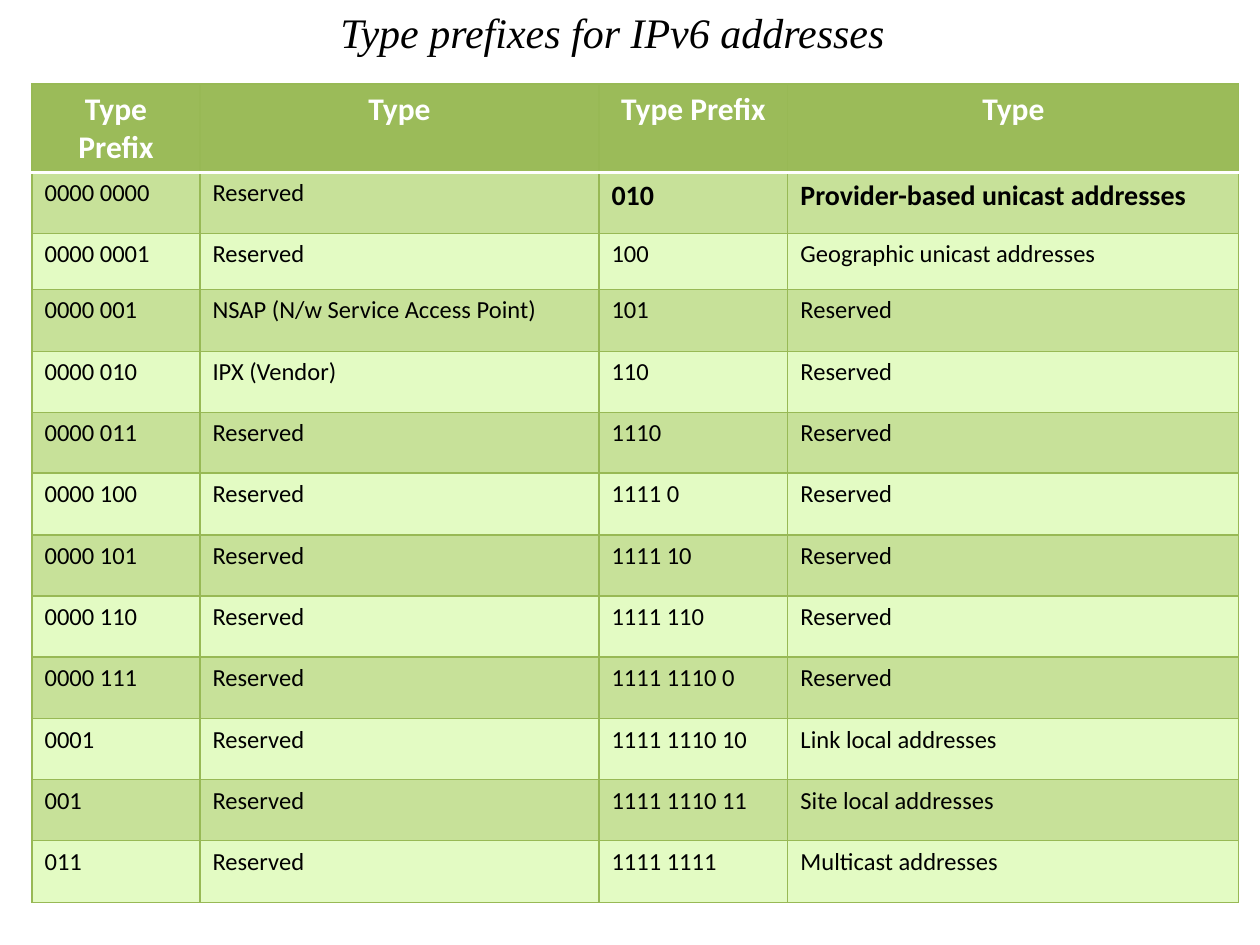
from dataclasses import dataclass

from pptx import Presentation
from pptx import util as u
from pptx.dml.color import RGBColor
from pptx.enum import text
from pptx.oxml import parse_xml
from pptx.oxml.ns import nsdecls

PX = 914400 // 126


@dataclass(frozen=True)
class Theme:
    title_font: str = "Times New Roman"
    body_font: str = "Calibri"
    ink: str = "000000"
    white: str = "FFFFFF"
    header: str = "9BBB59"
    dark_band: str = "C7E199"
    light_band: str = "E3FBC3"
    border: str = "98B955"
    title_pt: int = 24
    header_pt: int = 18
    strong_pt: int = 16
    body_pt: int = 14
    border_pt: float = 0.75
    rule_pt: float = 2


class Deck:
    def __init__(self, theme):
        self.t = theme
        self.prs = Presentation()
        self.prs.slide_width, self.prs.slide_height = u.Inches(10), u.Inches(7.5)
        self.s = self.prs.slides.add_slide(self.prs.slide_layouts[6])

    def font(self, p, name, pt, color, bold=False, italic=False):
        f = p.font
        f.name, f.size, f.bold, f.italic = name, u.Pt(pt), bold, italic
        f.color.rgb = RGBColor.from_string(color)

    def title(self, x, y, w, h, words):
        tf = self.s.shapes.add_textbox(x * PX, y * PX, w * PX, h * PX).text_frame
        tf.word_wrap = False
        tf.auto_size = text.MSO_AUTO_SIZE.SHAPE_TO_FIT_TEXT
        p = tf.paragraphs[0]
        p.text = words
        p.alignment = text.PP_ALIGN.CENTER
        self.font(p, self.t.title_font, self.t.title_pt, self.t.ink, italic=True)

    def borders(self, cell, **white_sides):
        """Outline a cell; sides passed as True get the thick white rule."""
        tc_pr = cell._tc.get_or_add_tcPr()
        for i, side in enumerate("LRTB"):
            thick = white_sides.get(side, False)
            color = self.t.white if thick else self.t.border
            width = u.Pt(self.t.rule_pt if thick else self.t.border_pt)
            tc_pr.insert(i, parse_xml(
                f'<a:ln{side} {nsdecls("a")} w="{width}"><a:solidFill>'
                f'<a:srgbClr val="{color}"/></a:solidFill></a:ln{side}>'))

    def cell(self, cell, words, row, strong):
        t = self.t
        head = row == 0
        fill = t.header if head else t.dark_band if row % 2 else t.light_band
        cell.fill.solid()
        cell.fill.fore_color.rgb = RGBColor.from_string(fill)
        self.borders(cell, B=head, T=row == 1)
        p = cell.text_frame.paragraphs[0]
        p.text = words
        if head:
            p.alignment = text.PP_ALIGN.CENTER
        pt = t.header_pt if head else t.strong_pt if strong else t.body_pt
        self.font(p, t.body_font, pt, t.white if head else t.ink, bold=head or strong)

    def table(self, x, y, cols, heights, rows, strong):
        tbl = self.s.shapes.add_table(len(rows), len(cols), x * PX, y * PX,
                                      sum(cols) * PX, sum(heights) * PX).table
        for col, w in zip(tbl.columns, cols):
            col.width = w * PX
        for i, (row, h) in enumerate(zip(rows, heights)):
            tbl.rows[i].height = h * PX
            for j, words in enumerate(row):
                self.cell(tbl.cell(i, j), words, i, words in strong)


ROWS = [
    ("Type Prefix", "Type", "Type Prefix", "Type"),
    ("0000 0000", "Reserved", "010", "Provider-based unicast addresses"),
    ("0000 0001", "Reserved", "100", "Geographic unicast addresses"),
    ("0000 001", "NSAP (N/w Service Access Point)", "101", "Reserved"),
    ("0000 010", "IPX (Vendor)", "110", "Reserved"),
    ("0000 011", "Reserved", "1110", "Reserved"),
    ("0000 100", "Reserved", "1111 0", "Reserved"),
    ("0000 101", "Reserved", "1111 10", "Reserved"),
    ("0000 110", "Reserved", "1111 110", "Reserved"),
    ("0000 111", "Reserved", "1111 1110 0", "Reserved"),
    ("0001", "Reserved", "1111 1110 10", "Link local addresses"),
    ("001", "Reserved", "1111 1110 11", "Site local addresses"),
    ("011", "Reserved", "1111 1111", "Multicast addresses"),
]


def main():
    deck = Deck(Theme())

    # Heading
    deck.title(325, 0, 575, 63, "Type prefixes for IPv6 addresses")

    # Prefix table: tall header, one shorter row, the rest about 61 px
    heights = [88, 61, 56] + [62 if i % 3 == 0 else 61 for i in range(3, len(ROWS))]
    deck.table(32, 84, [168, 399, 189, 451], heights, ROWS,
               strong={"010", "Provider-based unicast addresses"})

    deck.prs.save("out.pptx")


if __name__ == "__main__":
    main()
